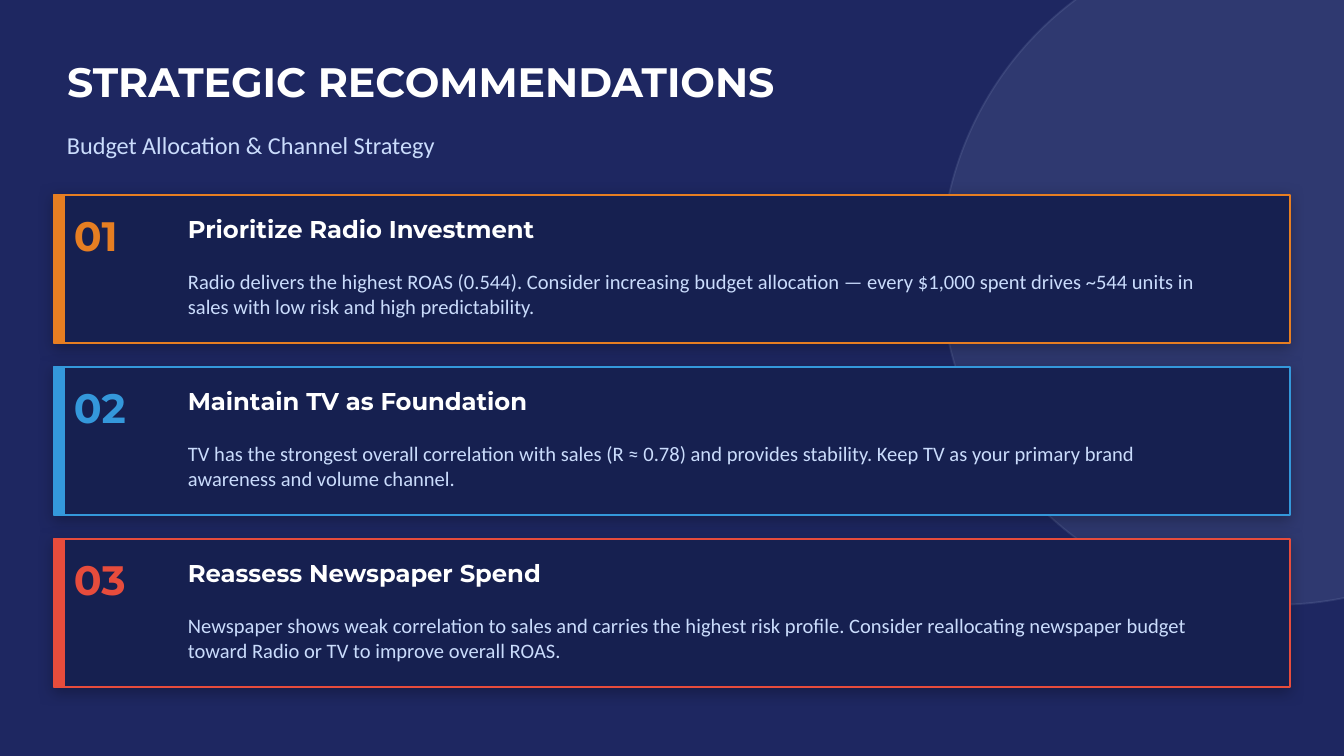
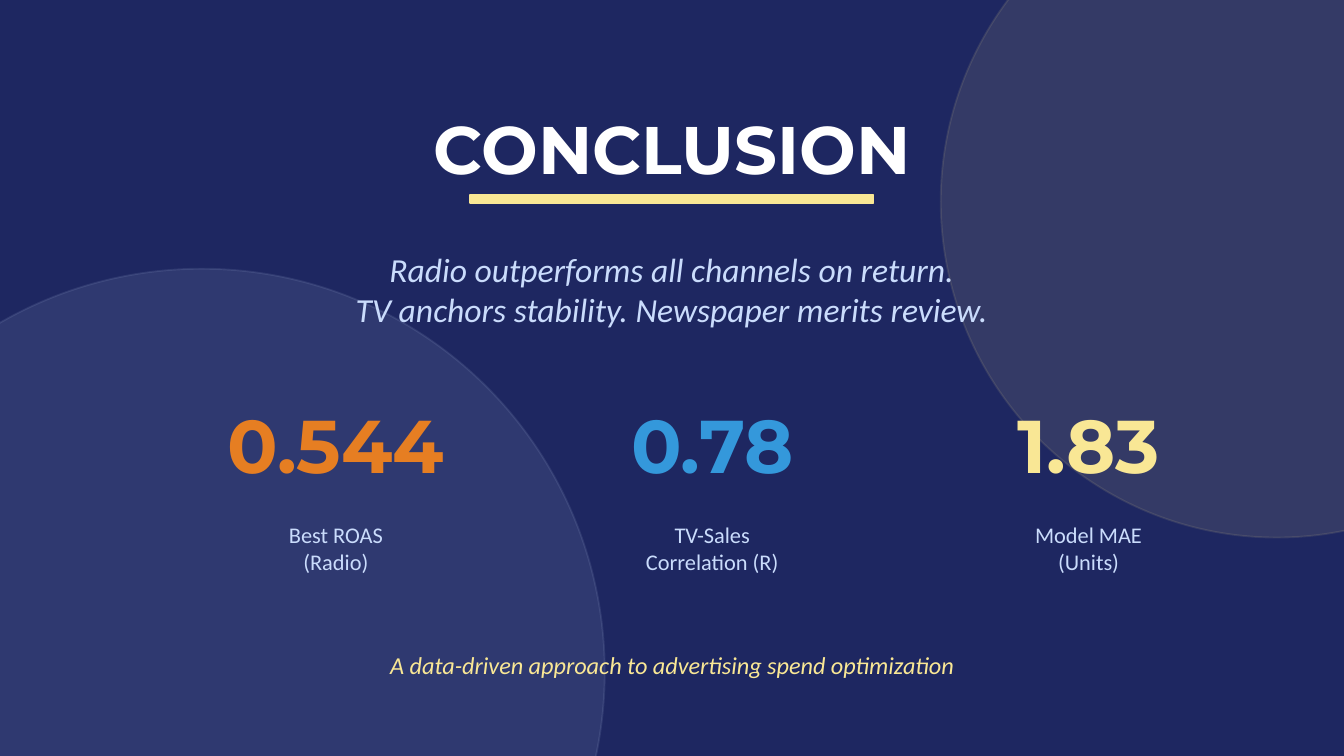
from lxml import etree
from pptx import Presentation
from pptx import util as u
from pptx.dml.color import RGBColor
from pptx.enum import shapes, text
from pptx.oxml.ns import qn

COLORS = {
    "navy": "1E2761", "card": "162050", "white": "FFFFFF", "ice": "CADCFC",
    "orange": "E67E22", "blue": "3498DB", "red": "E74C3C", "yellow": "F9E795",
}
HEADING, BODY = "Montserrat", "Calibri"
RECTANGLE, CIRCLE = shapes.MSO_SHAPE.RECTANGLE, shapes.MSO_SHAPE.OVAL


def add_text(slide, content, box, size, color="ice", font=BODY, bold=False,
             italic=False, centered=False, inset=True, title=False):
    """Write one paragraph per line, in the title placeholder or a new text box."""
    left, top, width, height = map(u.Inches, box)
    if title:
        shape = slide.shapes.title
        shape.left, shape.top, shape.width, shape.height = left, top, width, height
    else:
        shape = slide.shapes.add_textbox(left, top, width, height)
    frame = shape.text_frame
    frame.word_wrap = True
    frame.auto_size = text.MSO_AUTO_SIZE.NONE
    frame.vertical_anchor = text.MSO_ANCHOR.MIDDLE
    if not inset:
        frame.margin_left = frame.margin_right = 0
        frame.margin_top = frame.margin_bottom = 0
    frame.text = content
    for paragraph in frame.paragraphs:
        paragraph.alignment = text.PP_ALIGN.CENTER if centered else text.PP_ALIGN.LEFT
        for run in paragraph.runs:
            run.font.name, run.font.size = font, u.Pt(size)
            run.font.bold, run.font.italic = bold, italic
            run.font.color.rgb = RGBColor.from_string(COLORS[color])


def add_block(slide, kind, box, fill, line=None, opacity=100, shadow=False):
    """Draw a filled shape with a one-point outline."""
    shape = slide.shapes.add_shape(kind, *map(u.Inches, box))
    shape.shadow.inherit = False
    shape.fill.solid()
    shape.fill.fore_color.rgb = RGBColor.from_string(COLORS[fill])
    shape.line.color.rgb = RGBColor.from_string(COLORS[line or fill])
    shape.line.width = u.Pt(1)
    properties = shape.element.spPr
    if opacity < 100:
        for color in list(properties.iter(qn("a:srgbClr"))):
            etree.SubElement(color, qn("a:alpha"), val=str(opacity * 1000))
    if shadow:
        outer = etree.SubElement(
            properties.find(qn("a:effectLst")), qn("a:outerShdw"),
            blurRad=str(u.Pt(8)), dist=str(u.Pt(2)), dir=str(135 * 60000),
            algn="bl", rotWithShape="0")
        color = etree.SubElement(outer, qn("a:srgbClr"), val="000000")
        etree.SubElement(color, qn("a:alpha"), val="25000")


# Presentation with a shared navy background
presentation = Presentation()
presentation.slide_width = u.Inches(10)
presentation.slide_height = presentation.slide_width * 9 // 16
background = presentation.slide_master.background.fill
background.solid()
background.fore_color.rgb = RGBColor.from_string(COLORS["navy"])
title_only = presentation.slide_layouts[5]

# Slide 1: recommendations
slide = presentation.slides.add_slide(title_only)
add_block(slide, CIRCLE, (7, -0.5, 5, 5), "ice", opacity=10)
add_text(slide, "STRATEGIC RECOMMENDATIONS", (0.4, 0.3, 9, 0.6), 22,
         color="white", font=HEADING, bold=True, title=True)
add_text(slide, "Budget Allocation & Channel Strategy", (0.4, 0.9, 8, 0.35), 13)

# Numbered cards with an accent bar
recommendations = [
    ("orange", "Prioritize Radio Investment",
     "Radio delivers the highest ROAS (0.544). Consider increasing budget allocation — "
     "every $1,000 spent drives ~544 units in sales with low risk and high predictability."),
    ("blue", "Maintain TV as Foundation",
     "TV has the strongest overall correlation with sales (R ≈ 0.78) and provides stability. "
     "Keep TV as your primary brand awareness and volume channel."),
    ("red", "Reassess Newspaper Spend",
     "Newspaper shows weak correlation to sales and carries the highest risk profile. "
     "Consider reallocating newspaper budget toward Radio or TV to improve overall ROAS."),
]
for index, (accent, heading, advice) in enumerate(recommendations):
    top = 1.45 + 1.28 * index
    add_block(slide, RECTANGLE, (0.4, top, 9.2, 1.1), "card", line=accent, shadow=True)
    add_block(slide, RECTANGLE, (0.4, top, 0.08, 1.1), accent)
    add_text(slide, f"{index + 1:02}", (0.55, top + 0.05, 0.6, 0.5), 22,
             color=accent, font=HEADING, bold=True, inset=False)
    add_text(slide, heading, (1.3, top + 0.08, 7.5, 0.35), 13,
             color="white", font=HEADING, bold=True)
    add_text(slide, advice, (1.3, top + 0.46, 7.8, 0.55), 11)

# Slide 2: conclusion
slide = presentation.slides.add_slide(title_only)
add_block(slide, CIRCLE, (-1.5, 2, 6, 6), "ice", opacity=10)
add_block(slide, CIRCLE, (7, -1, 5, 5), "yellow", opacity=10)
add_text(slide, "CONCLUSION", (1, 0.8, 8, 0.6), 36,
         color="white", font=HEADING, bold=True, centered=True, title=True)
add_block(slide, RECTANGLE, (3.5, 1.45, 3, 0.06), "yellow")
add_text(slide, "Radio outperforms all channels on return.\n"
         "TV anchors stability. Newspaper merits review.",
         (0.8, 1.65, 8.4, 1), 18, italic=True, centered=True)

# Key figures
figures = [
    ("0.544", "Best ROAS\n(Radio)", "orange"),
    ("0.78", "TV-Sales\nCorrelation (R)", "blue"),
    ("1.83", "Model MAE\n(Units)", "yellow"),
]
for index, (value, label, accent) in enumerate(figures):
    left = 1.3 + 2.8 * index
    add_text(slide, value, (left, 2.85, 2.4, 0.9), 40,
             color=accent, font=HEADING, bold=True, centered=True)
    add_text(slide, label, (left, 3.78, 2.4, 0.6), 12, centered=True)

# Closing line
add_text(slide, "A data-driven approach to advertising spend optimization",
         (1, 4.75, 8, 0.4), 13, color="yellow", italic=True, centered=True)

presentation.save("out.pptx")
